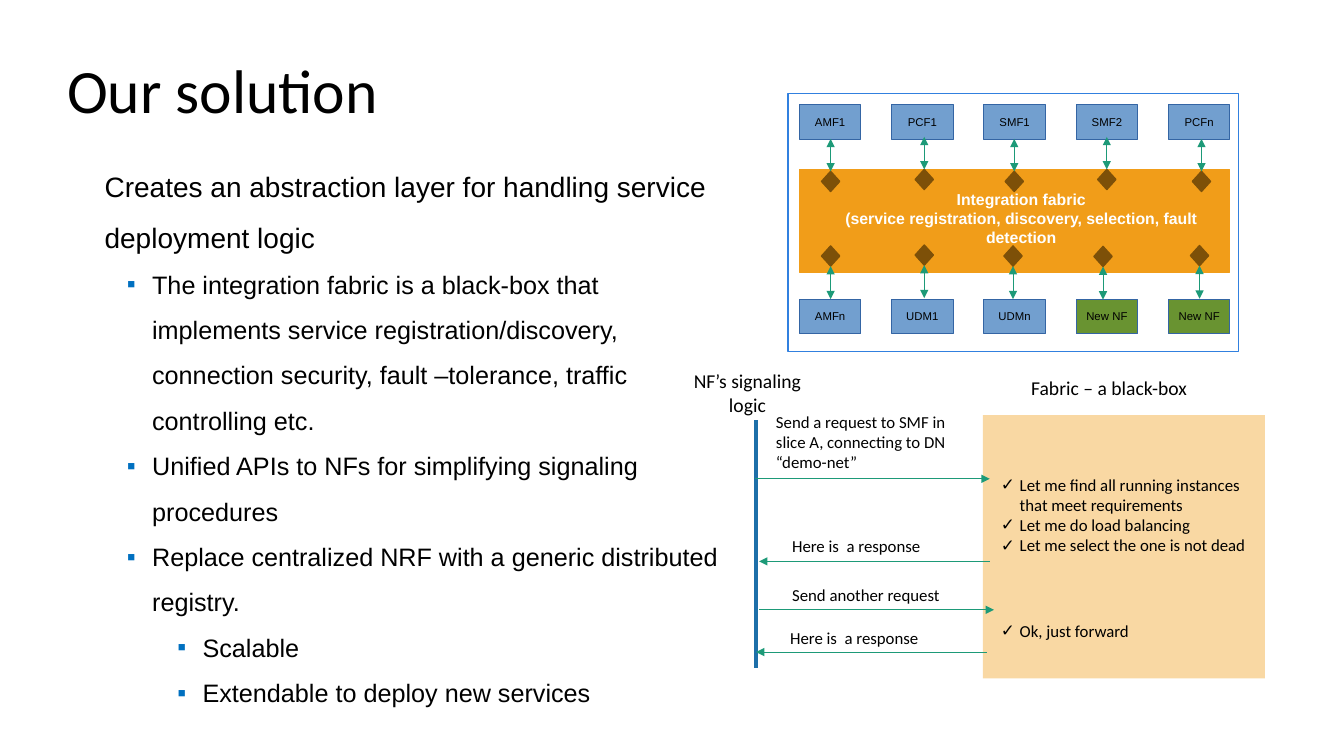
import pptx
import pptx.util
import pptx.dml.color
import pptx.enum.shapes
import pptx.enum.text
import pptx.oxml.ns
from dataclasses import dataclass
from lxml import etree

Pt = pptx.util.Pt
RGB = pptx.dml.color.RGBColor.from_string
Kind = pptx.enum.shapes.MSO_SHAPE
Align = pptx.enum.text.PP_ALIGN
Anchor = pptx.enum.text.MSO_ANCHOR
qn = pptx.oxml.ns.qn


@dataclass(frozen=True)
class Theme:
    sans: str = "Arial"
    human: str = "Calibri"
    ink: str = "000000"
    white: str = "FFFFFF"
    orange: str = "F19D19"
    sand: str = "F9D8A3"
    blue: str = "729FCF"
    edge: str = "3465A4"
    green: str = "699331"
    brown: str = "7D5008"
    frame: str = "3180DF"
    teal: str = "1D9A78"
    life: str = "1D6FA9"
    bullet: str = "0070C0"
    title: float = 44
    lead: float = 20
    point: float = 18
    head: float = 14
    note: float = 12
    label: float = 11.3
    node: float = 8.1


theme = Theme()


def write(frame, lines, size, face, color=theme.ink, align=Align.LEFT, bold=False, space=1.0):
    """Fill a text frame with plain paragraphs."""
    frame.text = "\n".join(lines)
    for para in frame.paragraphs:
        para.alignment = align
        para.line_spacing = space
        para.space_before = Pt(0)
        para.font.size = Pt(size)
        para.font.name = face
        para.font.bold = bold
        para.font.color.rgb = RGB(color)


def mark(para, char, left, hang, color=theme.ink):
    """Give a paragraph a bullet, or none if char is empty."""
    props = para._p.get_or_add_pPr()
    props.set("marL", str(Pt(left)))
    props.set("indent", str(-Pt(hang)))
    tags = [etree.Element(qn("a:buNone"))]
    if char:
        tint = etree.Element(qn("a:buClr"))
        etree.SubElement(tint, qn("a:srgbClr"), val=color)
        font = etree.Element(qn("a:buFont"), typeface=theme.sans)
        tags = [tint, font, etree.Element(qn("a:buChar"), char=char)]
    last = props.find(qn("a:defRPr"))
    for tag in tags:
        last.addprevious(tag)


deck = pptx.Presentation()
deck.slide_width, deck.slide_height = Pt(960), Pt(540)
slide = deck.slides.add_slide(deck.slide_layouts[1])
shapes = slide.shapes

# Title and list
title = shapes.title
title.left, title.top, title.width, title.height = Pt(48), Pt(21.6), Pt(864), Pt(90)
frame = title.text_frame
frame.margin_left = frame.margin_right = frame.margin_top = frame.margin_bottom = 0
frame.vertical_anchor = Anchor.MIDDLE
write(frame, ["Our solution"], theme.title, theme.human, space=0.9)

points = [
    (0, "Creates an abstraction layer for handling service deployment logic"),
    (1, "The integration fabric is a black-box that implements service registration/discovery, "
        "connection security, fault –tolerance, traffic controlling etc."),
    (1, "Unified APIs to NFs for simplifying signaling procedures"),
    (1, "Replace centralized NRF with a generic distributed registry."),
    (2, "Scalable"),
    (2, "Extendable to deploy new services"),
]
body = slide.placeholders[1]
body.left, body.top, body.width, body.height = Pt(67.5), Pt(105.8), Pt(457.2), Pt(403.2)
frame = body.text_frame
frame.auto_size = pptx.enum.text.MSO_AUTO_SIZE.NONE
write(frame, [text for _, text in points], theme.point, theme.sans, space=1.5)
for para, (level, _) in zip(frame.paragraphs, points):
    para.level = level
    if level:
        mark(para, "▪", 36 * level - 2, 18, theme.bullet)
    else:
        mark(para, "", 0, 0)
        para.font.size = Pt(theme.lead)

# Boxes: kind, left, top, width, height, fill, line, line width, label
left, pitch = 571, 65.9
boxes = [(Kind.RECTANGLE, left, 121, 307.4, 73.4, theme.orange, theme.orange, 0, "")]
wires = []
rows = [
    (75, ["AMF1", "PCF1", "SMF1", "SMF2", "PCFn"]),
    (213.8, ["AMFn", "UDM1", "UDMn", "New NF", "New NF"]),
]
for top, names in rows:
    for i, name in enumerate(names):
        fill = theme.green if name == "New NF" else theme.blue
        boxes.append((Kind.RECTANGLE, left + pitch * i, top, 44, 24.5, fill, theme.edge, 0, name))

# Ports: centre, top, and the reach of the arrow from its start
upper = [(593.3, 122.4), (660.2, 121), (724.5, 122.4), (790.6, 121), (858.2, 122.4)]
lower = [(593.3, 175.7), (660.2, 175), (723.6, 175.7), (787.9, 176), (856.8, 175.4)]
for ports, start, reach in ((upper, 0, -23.2), (lower, 14.4, 23.6)):
    for x, y in ports:
        boxes.append((Kind.DIAMOND, x - 6.5, y, 13, 14.4, theme.brown, theme.brown, 1, ""))
        wires.append((x, y + start, x, y + start + reach, theme.teal, 0.5, "both"))

boxes += [
    (Kind.RECTANGLE, 563, 67, 321.8, 184.3, None, theme.frame, 1, ""),
    (Kind.RECTANGLE, 702, 296.6, 201.6, 187.9, theme.sand, None, 0, ""),
]
for kind, x, y, w, h, fill, line, width, name in boxes:
    box = shapes.add_shape(kind, Pt(x), Pt(y), Pt(w), Pt(h))
    box.shadow.inherit = False
    if fill:
        box.fill.solid()
        box.fill.fore_color.rgb = RGB(fill)
    else:
        box.fill.background()
    if line:
        box.line.color.rgb = RGB(line)
        box.line.width = Pt(width)
    else:
        box.line.fill.background()
    if name:
        box.text_frame.word_wrap = False
        box.text_frame.vertical_anchor = Anchor.MIDDLE
        write(box.text_frame, [name], theme.node, theme.sans, align=Align.CENTER)

# Lines: start, end, colour, width, arrowheads
wires += [
    (540, 300.2, 540, 477.4, theme.life, 2.25, ""),
    (539.3, 342, 707, 342, theme.teal, 0.5, "end"),
    (707, 401, 542.2, 401, theme.teal, 0.5, "end"),
    (542.2, 435.6, 710, 435.6, theme.teal, 0.5, "end"),
    (705, 465.8, 540, 465.8, theme.teal, 0.5, "end"),
]
for x, y, right, low, color, width, heads in wires:
    wire = shapes.add_connector(pptx.enum.shapes.MSO_CONNECTOR.STRAIGHT,
                                Pt(x), Pt(y), Pt(right), Pt(low))
    wire.line.color.rgb = RGB(color)
    wire.line.width = Pt(width)
    props = wire._element.spPr
    etree.SubElement(props, qn("a:effectLst"))
    stroke = props.find(qn("a:ln"))
    if heads == "both":
        etree.SubElement(stroke, qn("a:headEnd"), type="triangle")
    if heads:
        etree.SubElement(stroke, qn("a:tailEnd"), type="triangle")

# Texts: left, top, width, height, size, face, colour, align, bold, bullet, lines
dark = (theme.human, theme.ink)
plain = (Align.LEFT, False, "")
check = (Align.LEFT, False, "✓")
texts = [
    (572.4, 136, 314, 39.6, theme.label, theme.sans, theme.white, Align.CENTER, True, "",
     ["Integration fabric", "(service registration, discovery, selection, fault detection"]),
    (487.4, 260, 93, 41, theme.head, *dark, Align.CENTER, False, "", ["NF’s signaling logic"]),
    (729.4, 265, 166.3, 24.5, theme.head, *dark, *plain, ["Fabric – a black-box"]),
    (547.2, 290.6, 154, 51, theme.note, *dark, *plain,
     ["Send a request to SMF in slice A, connecting to DN “demo-net”"]),
    (558.7, 379.4, 135.4, 21.6, theme.note, *dark, *plain, ["Here is  a response"]),
    (558.7, 414, 135.4, 21.6, theme.note, *dark, *plain, ["Send another request"]),
    (557.3, 445, 135.4, 21.6, theme.note, *dark, *plain, ["Here is  a response"]),
    (707.8, 335.5, 190, 65.5, theme.note, *dark, *check,
     ["Let me find all running instances that meet requirements",
      "Let me do load balancing", "Let me select the one is not dead"]),
    (707.8, 440, 113, 21.6, theme.note, *dark, *check, ["Ok, just forward"]),
]
for x, y, w, h, size, face, color, align, bold, sign, lines in texts:
    frame = shapes.add_textbox(Pt(x), Pt(y), Pt(w), Pt(h)).text_frame
    frame.word_wrap = True
    if color == theme.white:
        frame.vertical_anchor = Anchor.MIDDLE
    write(frame, lines, size, face, color, align, bold)
    if sign:
        for para in frame.paragraphs:
            mark(para, sign, 13.5, 13.5)

deck.save("out.pptx")
